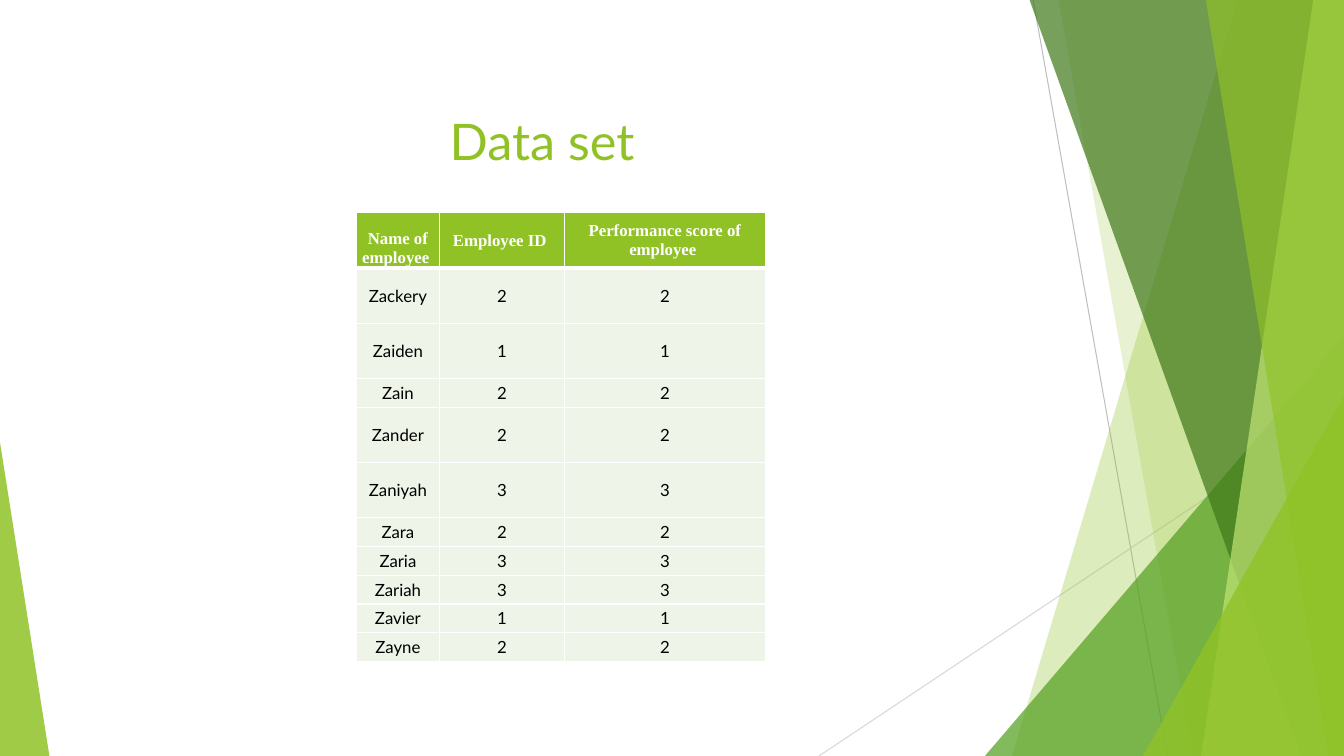
from pptx import Presentation
from pptx.dml.color import RGBColor
from pptx.enum.shapes import MSO_CONNECTOR, MSO_SHAPE
from pptx.enum.text import MSO_ANCHOR as Anchor, PP_ALIGN as Align
from pptx.oxml import parse_xml
from pptx.oxml.ns import nsdecls
from pptx.util import Pt

WIDTH, HEIGHT = 960, 540
GREEN = "90C226"


def paint(shape, color, opacity):
    shape.shadow.inherit = False
    shape.line.fill.background()
    shape.fill.solid()
    shape.fill.fore_color.rgb = RGBColor.from_string(color)
    tint = shape.element.spPr.xpath("./a:solidFill/a:srgbClr")[0]
    tint.append(parse_xml(f'<a:alpha {nsdecls("a")} val="{opacity * 1000}"/>'))


def write(frame, text, font, size, color, bold=False):
    frame.word_wrap = True
    para = frame.paragraphs[0]
    para.alignment = Align.CENTER
    span = para.add_run()
    span.text = text
    span.font.name = font
    span.font.size = Pt(size)
    span.font.bold = bold
    span.font.color.rgb = RGBColor.from_string(color)


deck = Presentation()
deck.slide_width, deck.slide_height = Pt(WIDTH), Pt(HEIGHT)
page = deck.slides.add_slide(deck.slide_layouts[6])

# Thin lines behind the facets
for x1, y1, x2, y2, color in [
    (738, 0, 834, HEIGHT, "BFBFBF"),
    (WIDTH, 290, 585, HEIGHT, "D9D9D9"),
]:
    line = page.shapes.add_connector(
        MSO_CONNECTOR.STRAIGHT, Pt(x1), Pt(y1), Pt(x2), Pt(y2))
    line.line.color.rgb = RGBColor.from_string(color)
    line.line.width = Pt(0.75)
    line.element.spPr.append(parse_xml(f'<a:effectLst {nsdecls("a")}/>'))

# Facets, back to front: bands run to the right edge, triangles stand on the bottom
facets = [
    ("band", 884.2, 722.9, GREEN, 30),
    ("band", 756, 852, GREEN, 20),
    ("triangle", (703.5, 240, 256.5, 1), "54A021", 72),
    ("band", 735.2, 929.5, "3F7819", 70),
    ("band", 938.2, 858, "C0E474", 70),
    ("band", 861.2, 949, GREEN, 65),
    ("triangle", (816.5, 283, 143.5, 1), GREEN, 80),
    ("triangle", (0, 316, 35.3, 0), GREEN, 85),
]
for kind, *place, color, opacity in facets:
    if kind == "band":
        top_x, bottom_x = place
        outline = page.shapes.build_freeform(Pt(top_x), Pt(-0.67))
        corners = [(WIDTH, -0.67), (WIDTH, HEIGHT), (bottom_x, HEIGHT)]
        outline.add_line_segments([(Pt(x), Pt(y)) for x, y in corners], close=True)
        facet = outline.convert_to_shape()
    else:
        left, top, width, apex = place[0]
        facet = page.shapes.add_shape(
            MSO_SHAPE.ISOSCELES_TRIANGLE,
            Pt(left), Pt(top), Pt(width), Pt(HEIGHT - top))
        facet.adjustments[0] = apex
    paint(facet, color, opacity)

# Title
title = page.shapes.add_textbox(Pt(53.3), Pt(48), Pt(677), Pt(104))
title.text_frame.vertical_anchor = Anchor.MIDDLE
write(title.text_frame, "Data set ", "Lato", 36, GREEN)

# Table of employees and scores
headers = ["Name of employee ", "Employee ID ", "Performance score of employee "]
scores = [("Zackery", 2), ("Zaiden", 1), ("Zain", 2), ("Zander", 2), ("Zaniyah", 3),
          ("Zara", 2), ("Zaria", 3), ("Zariah", 3), ("Zavier", 1), ("Zayne", 2)]
rows = [headers] + [(name, str(score), str(score)) for name, score in scores]
col_widths = [59.5, 89, 144]
tall_rows = {0, 1, 2, 4, 5}
row_heights = [39.5 if r in tall_rows else 20.5 for r in range(len(rows))]

table = page.shapes.add_table(
    len(rows), len(headers), Pt(254.5), Pt(152),
    Pt(sum(col_widths)), Pt(sum(row_heights))).table
for column, width in zip(table.columns, col_widths):
    column.width = Pt(width)

for r, values in enumerate(rows):
    table.rows[r].height = Pt(row_heights[r])
    for c, value in enumerate(values):
        cell = table.cell(r, c)
        cell.margin_left = cell.margin_right = Pt(0.75)
        cell.margin_top = cell.margin_bottom = Pt(0.75)
        cell.vertical_anchor = Anchor.BOTTOM if r == c == 0 else Anchor.MIDDLE
        # White borders, thick under the header
        borders = {"lnL": 1, "lnR": 1, "lnT": 3 if r == 1 else 1, "lnB": 3 if r == 0 else 1}
        for side, weight in borders.items():
            cell._tc.get_or_add_tcPr().append(parse_xml(
                f'<a:{side} {nsdecls("a")} w="{Pt(weight)}"><a:solidFill>'
                f'<a:srgbClr val="FFFFFF"/></a:solidFill></a:{side}>'))
        cell.fill.solid()
        cell.fill.fore_color.rgb = RGBColor.from_string(GREEN if r == 0 else "EEF4E8")
        if r == 0:
            write(cell.text_frame, value, "Times New Roman", 12, "FFFFFF", bold=True)
        else:
            write(cell.text_frame, value, "Lato", 12, "000000")

deck.save("out.pptx")
